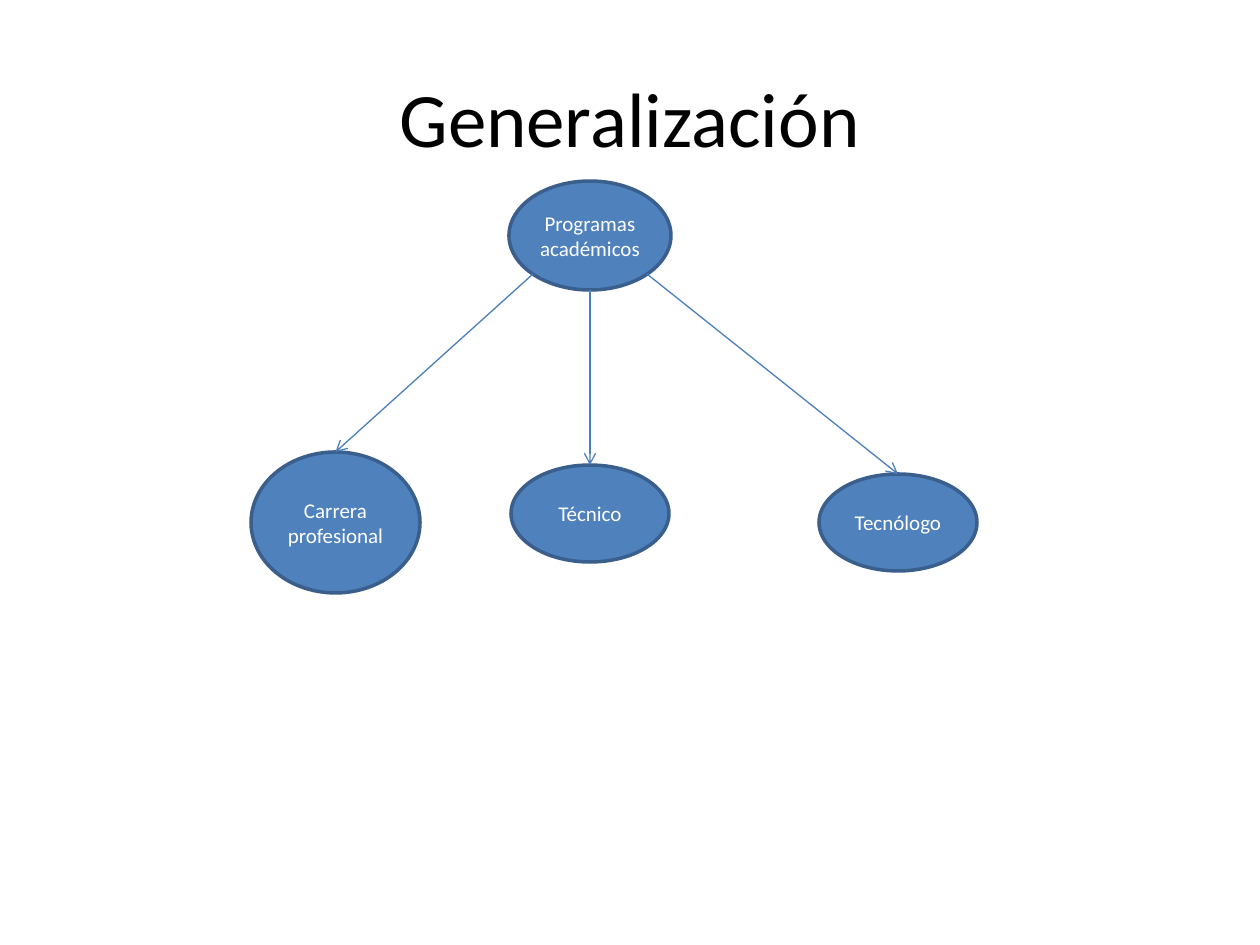
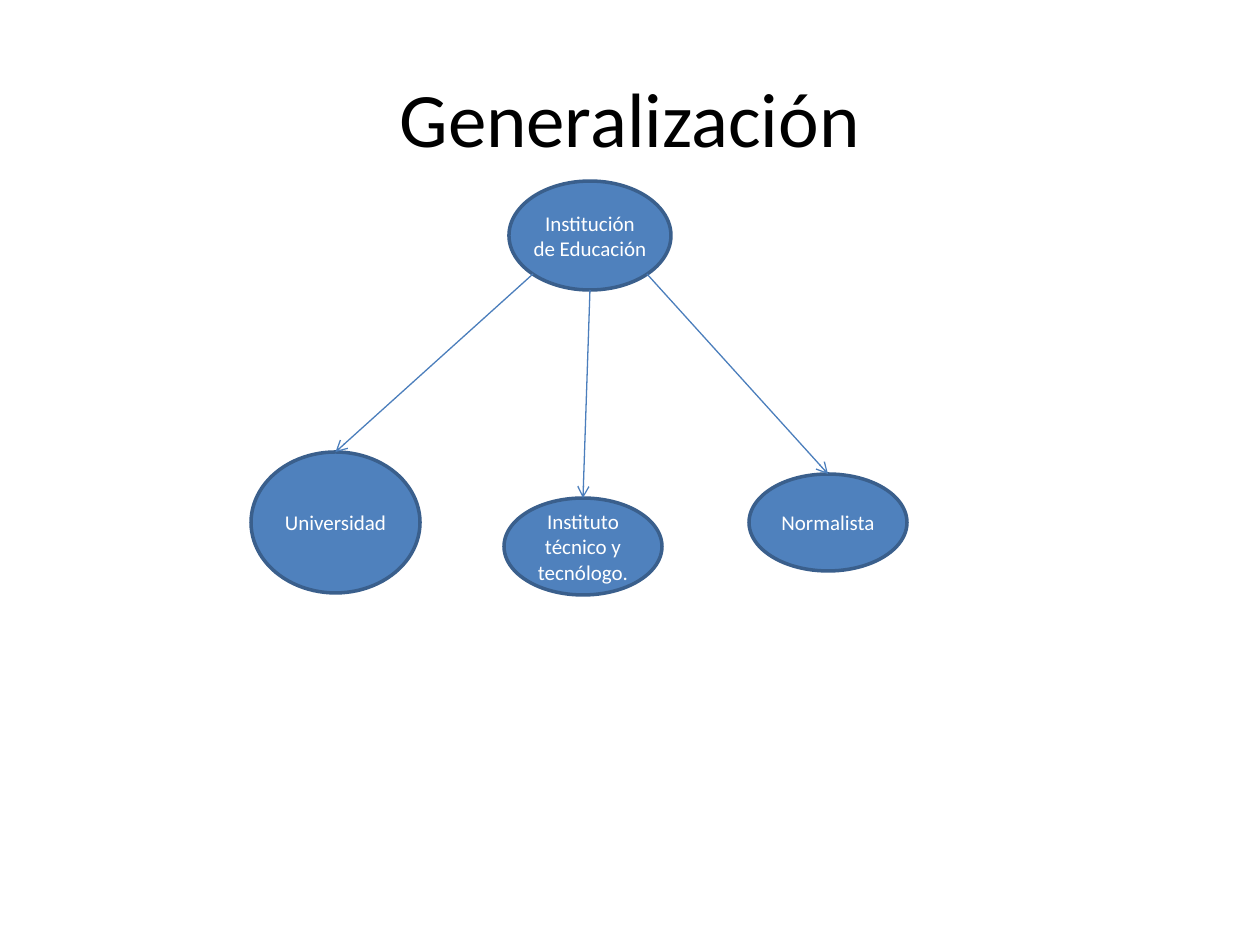
from pptx import Presentation
from pptx import util as u
from pptx.dml.color import RGBColor
from pptx.enum import shapes, text
from pptx.oxml.ns import qn
from lxml import etree

INK, WHITE, BLUE, EDGE, ARROW = "000000", "FFFFFF", "4F81BD", "3A5F8C", "4B7EBC"
FONT = "Calibri"
SCALE = 914400 / 126


def px(*vals):
    return [u.Emu(round(v * SCALE)) for v in vals]


def write(shape, words, size=12, color=WHITE, pad=0):
    frame = shape.text_frame
    frame.word_wrap = True
    frame.vertical_anchor = text.MSO_ANCHOR.MIDDLE
    frame.margin_left = frame.margin_right = px(pad)[0]
    frame.margin_top = frame.margin_bottom = px(pad // 2)[0]
    par = frame.paragraphs[0]
    par.alignment = text.PP_ALIGN.CENTER
    run = par.add_run()
    run.text = words
    run.font.name = FONT
    run.font.size = u.Pt(size)
    run.font.color.rgb = RGBColor.from_string(color)


ROOT = (509, 181, 162, 109)
LEFT = (251, 452, 169, 141)
WIDE, HIGH = 158, 97
STARTS = ((533, 274), (590, 290), (647, 274))

TREES = [
    ("Programas académicos", [
        ("Carrera profesional", LEFT),
        ("Técnico", (511, 465, WIDE, HIGH)),
        ("Tecnólogo", (819, 474, WIDE, HIGH)),
    ]),
    ("Institución de Educación", [
        ("Universidad", LEFT),
        ("Instituto técnico y tecnólogo.", (504, 498, WIDE, HIGH)),
        ("Normalista", (749, 474, WIDE, HIGH)),
    ]),
]

deck = Presentation()
deck.slide_width, deck.slide_height = px(1260, 945)

for root, kids in TREES:
    slide = deck.slides.add_slide(deck.slide_layouts[6])
    title = slide.shapes.add_textbox(*px(63, 38, 1134, 157))
    write(title, "Generalización", size=44, color=INK, pad=12)

    nodes = []
    for words, box in [(root, ROOT)] + kids:
        node = slide.shapes.add_shape(shapes.MSO_SHAPE.OVAL, *px(*box))
        node.shadow.inherit = False
        node.fill.solid()
        node.fill.fore_color.rgb = RGBColor.from_string(BLUE)
        node.line.color.rgb = RGBColor.from_string(EDGE)
        node.line.width = u.Pt(2)
        write(node, words)
        nodes.append(node)

    for start, node in zip(STARTS, nodes[1:]):
        link = slide.shapes.add_connector(
            shapes.MSO_CONNECTOR.STRAIGHT, *px(*start), node.left, node.top)
        link.end_connect(node, 0)
        link.line.color.rgb = RGBColor.from_string(ARROW)
        link.line.width = u.Pt(0.75)
        etree.SubElement(link.line._get_or_add_ln(), qn("a:tailEnd"), type="arrow")
        etree.SubElement(link._element.spPr, qn("a:effectLst"))

deck.save("out.pptx")
